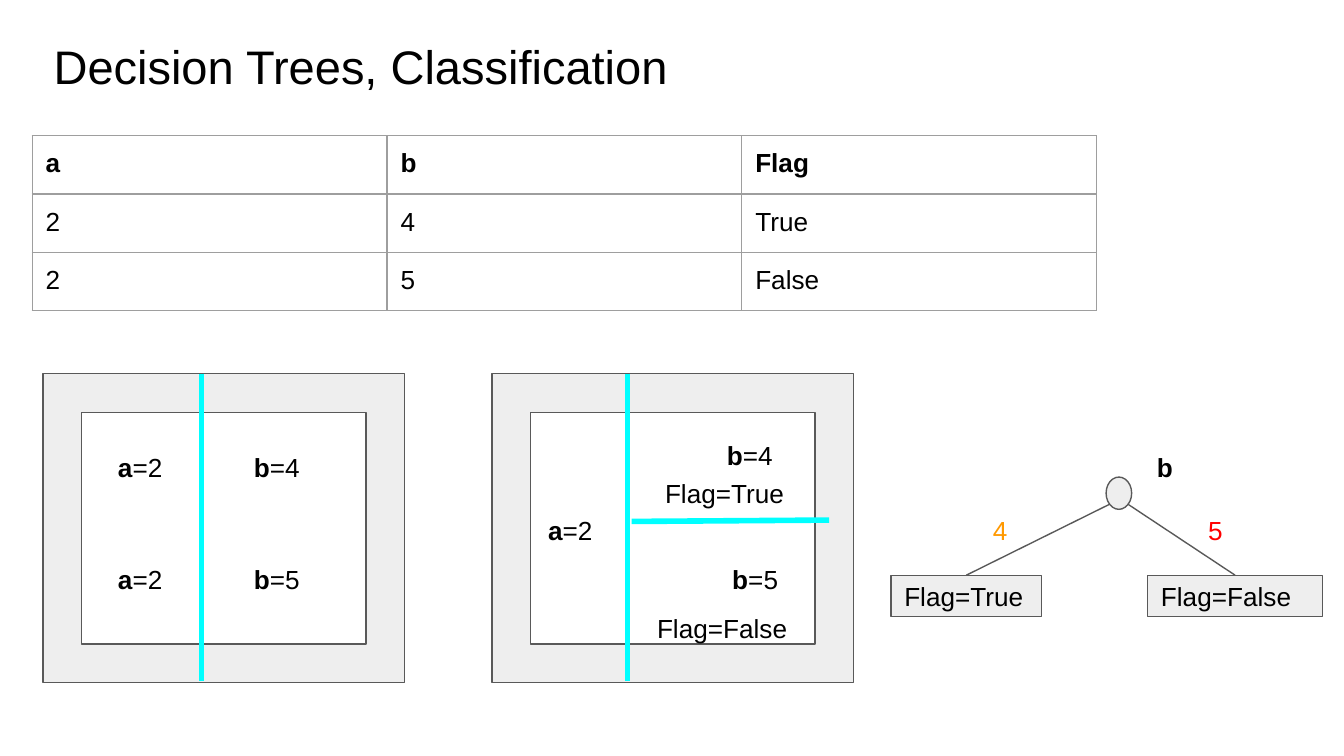
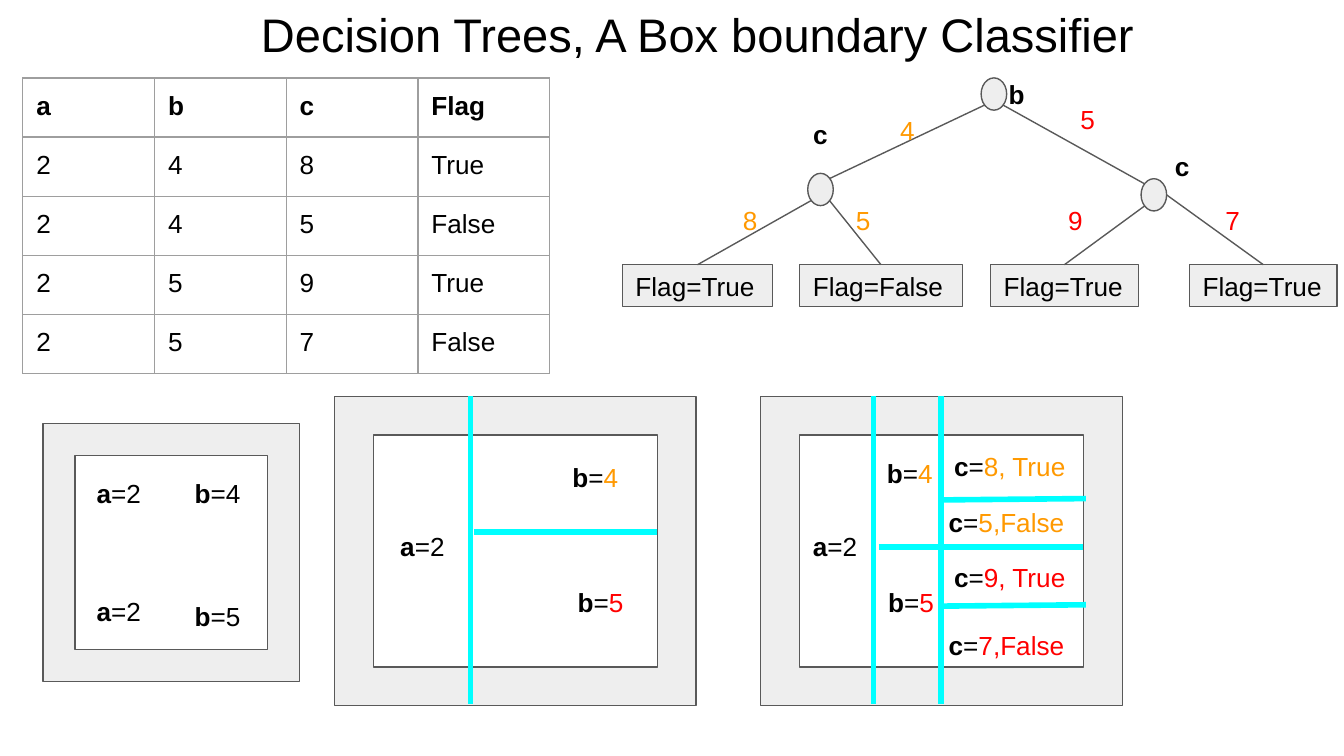
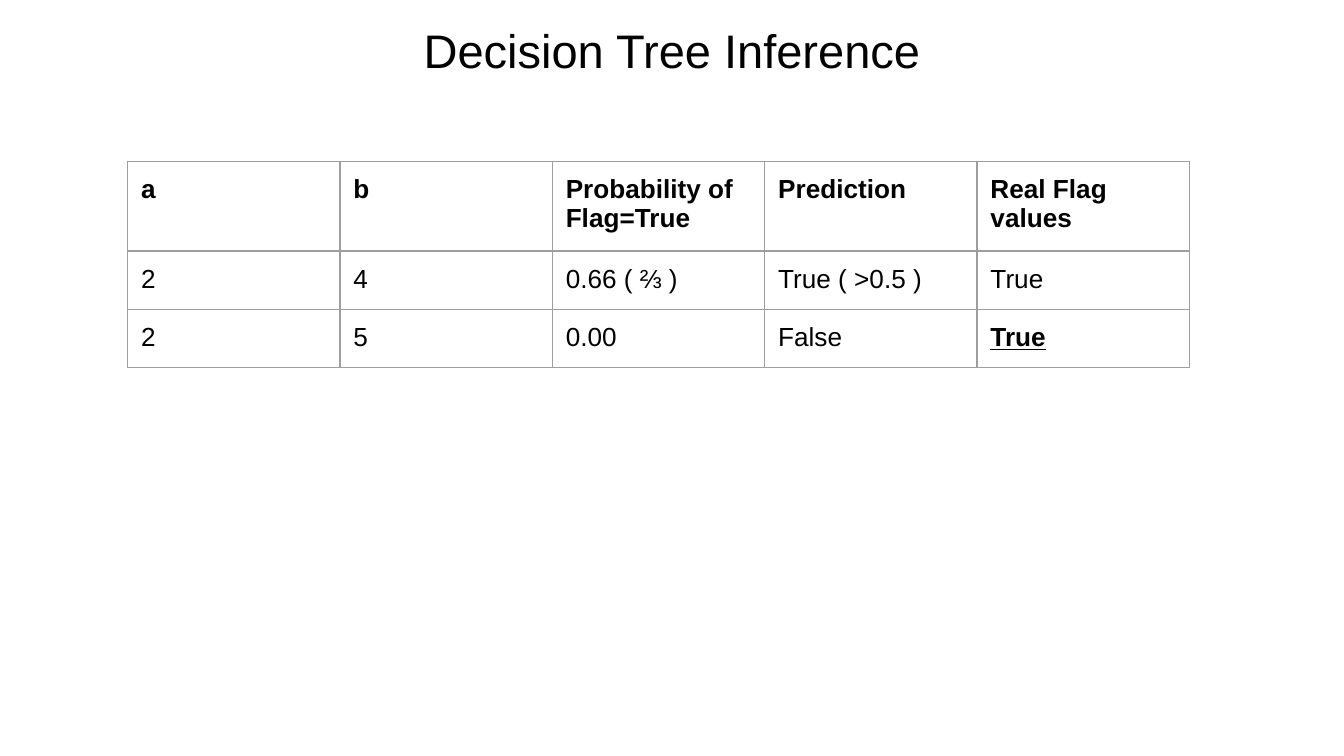
"""Build three slides that explain decision trees with tables, boxes and trees."""
from pptx import Presentation
from pptx.dml.color import RGBColor
from pptx.enum.shapes import MSO_CONNECTOR, MSO_SHAPE
from pptx.enum.text import MSO_ANCHOR, PP_ALIGN
from pptx.oxml.ns import qn
from pptx.util import Inches, Pt
from lxml import etree

FRAME, RECTANGLE, OVAL = MSO_SHAPE.FRAME, MSO_SHAPE.RECTANGLE, MSO_SHAPE.OVAL
STRAIGHT = MSO_CONNECTOR.STRAIGHT
TOP, MIDDLE = MSO_ANCHOR.TOP, MSO_ANCHOR.MIDDLE
LEFT, CENTER = PP_ALIGN.LEFT, PP_ALIGN.CENTER

BLACK = RGBColor(0x00, 0x00, 0x00)
WHITE = RGBColor(0xFF, 0xFF, 0xFF)
GREY_FILL = RGBColor(0xEE, 0xEE, 0xEE)
OUTLINE = RGBColor(0x59, 0x59, 0x59)
GRID = RGBColor(0x9E, 0x9E, 0x9E)
ORANGE = RGBColor(0xFF, 0x99, 0x00)
RED = RGBColor(0xFF, 0x00, 0x00)
CYAN = RGBColor(0x00, 0xFF, 0xFF)

FONT = "Arial"
BODY_SIZE, TITLE_SIZE = 14, 25.2
THIN, THICK = 0.75, 3
INSET = Inches(0.1)
PAGE_WIDTH = 10
NODE_WIDTH, NODE_HEIGHT = 0.19, 0.24
UPPER_LEFT, UPPER_RIGHT = (0.03, 0.04), (0.16, 0.04)
LOWER_LEFT, LOWER_RIGHT = (0.03, 0.2), (0.16, 0.2)
RIGHT_SIDE = (0.19, 0.12)


def add_page(deck):
    """Add a blank white slide."""
    page = deck.slides.add_slide(deck.slide_layouts[6])
    page.background.fill.solid()
    page.background.fill.fore_color.rgb = WHITE
    return page


def add_span(para, text, colour=BLACK, bold=False, size=BODY_SIZE):
    """Append one formatted run."""
    span = para.add_run()
    span.text = text
    span.font.name = FONT
    span.font.size = Pt(size)
    span.font.bold = bold
    span.font.color.rgb = colour


def prepare_frame(frame, anchor=TOP):
    """Set wrapping, insets and anchor, and return the first paragraph."""
    frame.word_wrap = True
    frame.margin_left = frame.margin_right = INSET
    frame.margin_top = frame.margin_bottom = INSET
    frame.vertical_anchor = anchor
    return frame.paragraphs[0]


def add_text(page, left, top, width, height=0.44, align=LEFT):
    """Add an empty text box and return its paragraph."""
    box = page.shapes.add_textbox(Inches(left), Inches(top), Inches(width), Inches(height))
    para = prepare_frame(box.text_frame)
    para.alignment = align
    return para


def add_title(page, text, left, top, height=0.51, align=CENTER):
    """Add the slide title."""
    add_span(add_text(page, left, top, 9.32, height, align), text, size=TITLE_SIZE)


def add_label(page, text, left, top, width, colour=BLACK, bold=False, align=LEFT):
    """Add a label of one run."""
    add_span(add_text(page, left, top, width, align=align), text, colour, bold)


def add_value(page, name, value, left, top, width=0.6, colour=BLACK):
    """Add a label such as a=2, with a bold name and a coloured value."""
    para = add_text(page, left, top, width)
    add_span(para, name, bold=True)
    if colour == BLACK:
        add_span(para, "=" + value)
    else:
        add_span(para, "=")
        add_span(para, value, colour)


def add_figure(page, kind, left, top, width, height):
    """Add a grey outlined preset shape."""
    shape = page.shapes.add_shape(kind, Inches(left), Inches(top), Inches(width), Inches(height))
    shape.shadow.inherit = False
    shape.fill.solid()
    shape.fill.fore_color.rgb = GREY_FILL
    shape.line.color.rgb = OUTLINE
    shape.line.width = Pt(THIN)
    return shape


def add_box_frame(page, left, top, width=2.69, height=2.3):
    """Add the frame that stands for the feature space."""
    shape = add_figure(page, FRAME, left, top, width, height)
    shape.adjustments[0] = 0.125
    shape.rotation = 180


def add_line(page, start, end, colour, weight):
    """Add a straight line between two points."""
    line = page.shapes.add_connector(STRAIGHT, *(Inches(value) for value in (*start, *end)))
    line.line.color.rgb = colour
    line.line.width = Pt(weight)
    etree.SubElement(line._element.spPr, qn("a:effectLst"))


def add_boundary(page, start, end):
    """Add a cyan decision boundary."""
    add_line(page, start, end, CYAN, THICK)


def add_node(page, left, top):
    """Add a tree node and return its position."""
    add_figure(page, OVAL, left, top, NODE_WIDTH, NODE_HEIGHT)
    return left, top


def node_point(node, corner):
    """Return a point on the edge of a node."""
    return node[0] + corner[0], node[1] + corner[1]


def add_branch(page, node, corner, end):
    """Join a node to the point where its branch ends."""
    add_line(page, node_point(node, corner), end, OUTLINE, THIN)


def add_leaf(page, text, left, top, width):
    """Add a tree leaf and return the middle of its top edge."""
    shape = add_figure(page, RECTANGLE, left, top, width, 0.31)
    para = prepare_frame(shape.text_frame, MIDDLE)
    para.alignment = LEFT
    add_span(para, text)
    return left + width / 2, top


def add_cell_borders(cell):
    """Draw thin grey borders around a cell."""
    properties = cell._tc.get_or_add_tcPr()
    for position, side in enumerate(("lnL", "lnR", "lnT", "lnB")):
        border = etree.Element(qn("a:" + side), w=str(Pt(THIN)))
        fill = etree.SubElement(border, qn("a:solidFill"))
        etree.SubElement(fill, qn("a:srgbClr"), val=str(GRID))
        properties.insert(position, border)


def add_grid(page, rows, left, top, column_width, row_height):
    """Add a bordered table with a bold header row."""
    count = len(rows[0])
    table = page.shapes.add_table(
        len(rows), count, Inches(left), Inches(top),
        Inches(column_width * count), Inches(row_height * len(rows))).table
    table.first_row = table.horz_banding = False
    for column in table.columns:
        column.width = Inches(column_width)
    for row_index, texts in enumerate(rows):
        table.rows[row_index].height = Inches(row_height)
        for column_index, text in enumerate(texts):
            cell = table.cell(row_index, column_index)
            cell.margin_left = cell.margin_right = INSET
            cell.margin_top = cell.margin_bottom = INSET
            cell.fill.background()
            add_cell_borders(cell)
            add_span(cell.text_frame.paragraphs[0], text, bold=row_index == 0)
    return table


def build_classification(deck):
    """Build the slide with two features and a single split."""
    page = add_page(deck)
    add_title(page, "Decision Trees, Classification", 0.3, 0.18, align=LEFT)
    rows = [("a", "b", "Flag"), ("2", "4", "True"), ("2", "5", "False")]
    add_grid(page, rows, 0.24, 1.01, 2.64, 0.42)

    for left in (0.32, 3.66):
        add_box_frame(page, left, 2.78)
    for top, b_value in ((3.26, "4"), (4.09, "5")):
        add_value(page, "a", "2", 0.78, top)
        add_value(page, "b", b_value, 1.79, top)
    add_value(page, "a", "2", 3.98, 3.73)
    add_value(page, "b", "4", 5.31, 3.17)
    add_value(page, "b", "5", 5.35, 4.09)
    add_label(page, "Flag=True", 4.85, 3.45, 1.1)
    add_label(page, "Flag=False", 4.79, 4.46, 1.21)
    for left in (1.5, 4.67):
        add_boundary(page, (left, 2.78), (left, 5.07))
    add_boundary(page, (4.7, 3.88), (6.17, 3.87))

    root = add_node(page, 8.23, 3.55)
    add_branch(page, root, LOWER_LEFT, add_leaf(page, "Flag=True", 6.63, 4.28, 1.12))
    add_branch(page, root, LOWER_RIGHT, add_leaf(page, "Flag=False", 8.54, 4.28, 1.3))
    add_label(page, "b", 8.51, 3.26, 0.81, bold=True)
    add_label(page, "4", 7.29, 3.73, 0.86, ORANGE)
    add_label(page, "5", 8.89, 3.73, 0.71, RED)


def build_box_boundary(deck):
    """Build the slide with three features and nested splits."""
    page = add_page(deck)
    add_title(page, "Decision Trees, A Box boundary Classifier", 0.53, -0.06)
    rows = [("a", "b", "c", "Flag"),
            ("2", "4", "8", "True"), ("2", "4", "5", "False"),
            ("2", "5", "9", "True"), ("2", "5", "7", "False")]
    add_grid(page, rows, 0.17, 0.58, 0.98, 0.44)

    root = add_node(page, 7.3, 0.58)
    left_node = add_node(page, 6.01, 1.29)
    right_node = add_node(page, 8.49, 1.33)
    add_branch(page, root, LOWER_LEFT, node_point(left_node, UPPER_RIGHT))
    add_branch(page, root, LOWER_RIGHT, node_point(right_node, UPPER_LEFT))
    leaves = [
        (left_node, LOWER_LEFT, "Flag=True", 4.63, 1.12),
        (left_node, LOWER_RIGHT, "Flag=False", 5.95, 1.21),
        (right_node, LOWER_LEFT, "Flag=True", 7.37, 1.1),
        (right_node, RIGHT_SIDE, "Flag=True", 8.85, 1.1),
    ]
    for node, corner, text, left, width in leaves:
        add_branch(page, node, corner, add_leaf(page, text, left, 1.97, width))
    for name, left, top in (("b", 7.16, 0.48), ("c", 5.7, 0.78), ("c", 8.39, 1.02)):
        add_label(page, name, left, top, 0.81, bold=True, align=CENTER)
    branch_values = [
        ("4", 6.6, 0.75, ORANGE), ("5", 7.94, 0.67, RED),
        ("8", 5.43, 1.42, ORANGE), ("5", 6.27, 1.42, ORANGE),
        ("9", 7.85, 1.42, RED), ("7", 9.02, 1.42, RED),
    ]
    for value, left, top, colour in branch_values:
        add_label(page, value, left, top, 0.4, colour)

    add_box_frame(page, 0.32, 3.15, 1.91, 1.92)
    for left in (2.49, 5.66):
        add_box_frame(page, left, 2.95)
    for left, top in ((0.62, 3.45), (0.62, 4.33), (2.88, 3.85), (5.95, 3.85)):
        add_value(page, "a", "2", left, top)
    b_values = [
        ("4", 1.35, 3.45, BLACK), ("5", 1.35, 4.37, BLACK),
        ("4", 4.16, 3.33, ORANGE), ("5", 4.2, 4.26, RED),
        ("4", 6.5, 3.3, ORANGE), ("5", 6.51, 4.26, RED),
    ]
    for value, left, top, colour in b_values:
        add_value(page, "b", value, left, top, colour=colour)
    c_values = [
        ("8, True", 7, 3.25, ORANGE), ("5,False", 6.96, 3.67, ORANGE),
        ("9, True", 7, 4.08, RED), ("7,False", 6.96, 4.58, RED),
    ]
    for value, left, top, colour in c_values:
        add_value(page, "c", value, left, top, 1.09, colour)

    for left in (3.5, 6.5, 7):
        add_boundary(page, (left, 2.95), (left, 5.24))
    add_boundary(page, (3.53, 3.96), (4.89, 3.96))
    add_boundary(page, (6.54, 4.07), (8.06, 4.07))
    for top in (3.72, 4.51):
        add_boundary(page, (7.01, top), (8.08, top - 0.01))


def build_inference(deck):
    """Build the slide that compares predictions with real values."""
    page = add_page(deck)
    add_title(page, "Decision Tree Inference", 0.34, 0.06, 0.63)
    rows = [("a", "b", "Probability of Flag=True", "Prediction", "Real Flag values"),
            ("2", "4", "0.66 ( ⅔ )", "True ( >0.5 )", "True"),
            ("2", "5", "0.00", "False", "True")]
    table = add_grid(page, rows, 0.95, 1.2, 1.58, 0.42)
    missed = table.cell(2, 4).text_frame.paragraphs[0].runs[0]
    missed.font.bold = missed.font.underline = True


def main():
    """Build and save the deck."""
    deck = Presentation()
    deck.slide_width = Inches(PAGE_WIDTH)
    deck.slide_height = Inches(PAGE_WIDTH * 9 / 16)
    build_classification(deck)
    build_box_boundary(deck)
    build_inference(deck)
    deck.save("out.pptx")


if __name__ == "__main__":
    main()
